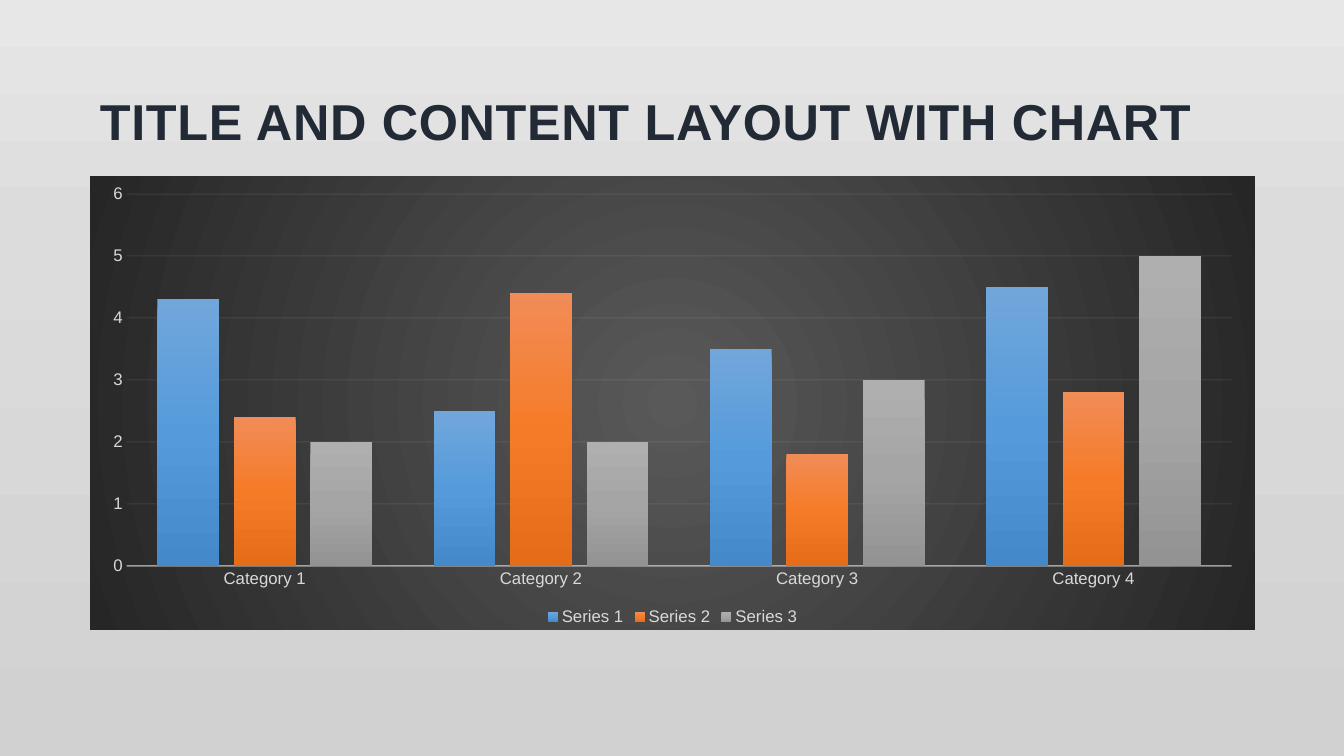
import lxml.etree
import pptx
import pptx.chart.data
import pptx.dml.color
import pptx.enum.chart
import pptx.enum.text
import pptx.oxml
import pptx.oxml.ns
import pptx.util

RGBColor = pptx.dml.color.RGBColor
SCALE = 914400 / 100.8
FONT = "Arial"
NAVY = RGBColor(0x22, 0x2A, 0x35)
BLACK = RGBColor(0x00, 0x00, 0x00)
LABEL_GRAY = RGBColor(0xD9, 0xD9, 0xD9)
LINE_GRAY = RGBColor(0xF2, 0xF2, 0xF2)
BACKGROUND_STOPS = [
    (0, RGBColor(0xE8, 0xE7, 0xE7)),
    (31, RGBColor(0xDD, 0xDC, 0xDC)),
    (100, RGBColor(0xD2, 0xD1, 0xD1)),
]
CHART_STOPS = [(0, RGBColor(0x59, 0x59, 0x59)), (100, RGBColor(0x26, 0x26, 0x26))]
BLUE_STOPS = [
    (0, RGBColor(0x71, 0xA6, 0xDB)),
    (50, RGBColor(0x55, 0x9B, 0xDB)),
    (100, RGBColor(0x44, 0x8A, 0xCA)),
]
ORANGE_STOPS = [
    (0, RGBColor(0xF1, 0x8C, 0x57)),
    (50, RGBColor(0xF6, 0x7B, 0x28)),
    (100, RGBColor(0xE5, 0x6C, 0x19)),
]
GRAY_STOPS = [
    (0, RGBColor(0xAF, 0xAF, 0xAF)),
    (50, RGBColor(0xA5, 0xA5, 0xA5)),
    (100, RGBColor(0x93, 0x93, 0x93)),
]
LINEAR = '<a:lin ang="5400000" scaled="0"/>'
RADIAL = '<a:path path="circle"><a:fillToRect l="50000" t="50000" r="50000" b="50000"/></a:path>'
SERIES = [
    ("Series 1", (4.3, 2.5, 3.5, 4.5), BLUE_STOPS),
    ("Series 2", (2.4, 4.4, 1.8, 2.8), ORANGE_STOPS),
    ("Series 3", (2, 2, 3, 5), GRAY_STOPS),
]


def gradient(stops, direction):
    stop_xml = "".join(
        f'<a:gs pos="{position * 1000}"><a:srgbClr val="{color}"/></a:gs>'
        for position, color in stops
    )
    return pptx.oxml.parse_xml(
        f'<a:gradFill {pptx.oxml.ns.nsdecls("a")} rotWithShape="1">'
        f"<a:gsLst>{stop_xml}</a:gsLst>{direction}</a:gradFill>"
    )


def style_line(chart_format, width, opacity):
    line = chart_format.line
    line.width = pptx.util.Pt(width)
    line.color.rgb = LINE_GRAY
    color = line._ln.find(".//" + pptx.oxml.ns.qn("a:srgbClr"))
    alpha = lxml.etree.SubElement(color, pptx.oxml.ns.qn("a:alpha"))
    alpha.set("val", str(opacity * 1000))


presentation = pptx.Presentation()
presentation.slide_width = round(1344 * SCALE)
presentation.slide_height = round(756 * SCALE)
slide = presentation.slides.add_slide(presentation.slide_layouts[6])

slide.background.fill.solid()
background_fill = slide.element.find(".//" + pptx.oxml.ns.qn("a:solidFill"))
background_fill.getparent().replace(background_fill, gradient(BACKGROUND_STOPS, LINEAR))

title = slide.shapes.add_textbox(*[round(length * SCALE) for length in (90, 30, 1165, 126)])
text_frame = title.text_frame
text_frame.word_wrap = True
text_frame.vertical_anchor = pptx.enum.text.MSO_ANCHOR.BOTTOM
text_frame.text = "TITLE AND CONTENT LAYOUT WITH CHART"
run = text_frame.paragraphs[0].runs[0]
run.font.name = FONT
run.font.size = pptx.util.Pt(36)
run.font.bold = True
run.font.color.rgb = NAVY
run.font._element.set("spc", "50")

chart_data = pptx.chart.data.CategoryChartData()
chart_data.categories = [f"Category {number}" for number in range(1, 5)]
for name, values, stops in SERIES:
    chart_data.add_series(name, values)
chart = slide.shapes.add_chart(
    pptx.enum.chart.XL_CHART_TYPE.COLUMN_CLUSTERED,
    *[round(length * SCALE) for length in (90, 176, 1165, 454)],
    chart_data,
).chart
chart.has_title = False
chart.has_legend = True
chart.legend.position = pptx.enum.chart.XL_LEGEND_POSITION.BOTTOM
chart.legend.include_in_layout = False

category_axis = chart.category_axis
value_axis = chart.value_axis
value_axis.minimum_scale = 0
value_axis.maximum_scale = 6
value_axis.major_unit = 1
for axis in (category_axis, value_axis):
    axis.major_tick_mark = pptx.enum.chart.XL_TICK_MARK.NONE
    axis.minor_tick_mark = pptx.enum.chart.XL_TICK_MARK.NONE
style_line(category_axis.format, 1, 54)
style_line(value_axis.major_gridlines.format, 0.75, 10)
value_axis.format.line.fill.background()

for font, size, color in (
    (chart.font, 10, BLACK),
    (category_axis.tick_labels.font, 12, LABEL_GRAY),
    (value_axis.tick_labels.font, 12, LABEL_GRAY),
    (chart.legend.font, 12, LABEL_GRAY),
):
    font.name = FONT
    font.size = pptx.util.Pt(size)
    font.color.rgb = color

plot = chart.plots[0]
plot.gap_width = 100
plot.overlap = -24
plot.vary_by_categories = False
for series, (name, values, stops) in zip(plot.series, SERIES):
    series.invert_if_negative = False
    series.format.fill.solid()
    series_fill = series._element.find(".//" + pptx.oxml.ns.qn("a:solidFill"))
    series_fill.getparent().replace(series_fill, gradient(stops, LINEAR))

chart_space = chart._chartSpace
chart_properties = pptx.oxml.parse_xml(
    f'<c:spPr {pptx.oxml.ns.nsdecls("c", "a")}><a:ln><a:noFill/></a:ln></c:spPr>'
)
chart_properties.insert(0, gradient(CHART_STOPS, RADIAL))
chart_space.find(pptx.oxml.ns.qn("c:chart")).addnext(chart_properties)

presentation.save("out.pptx")
